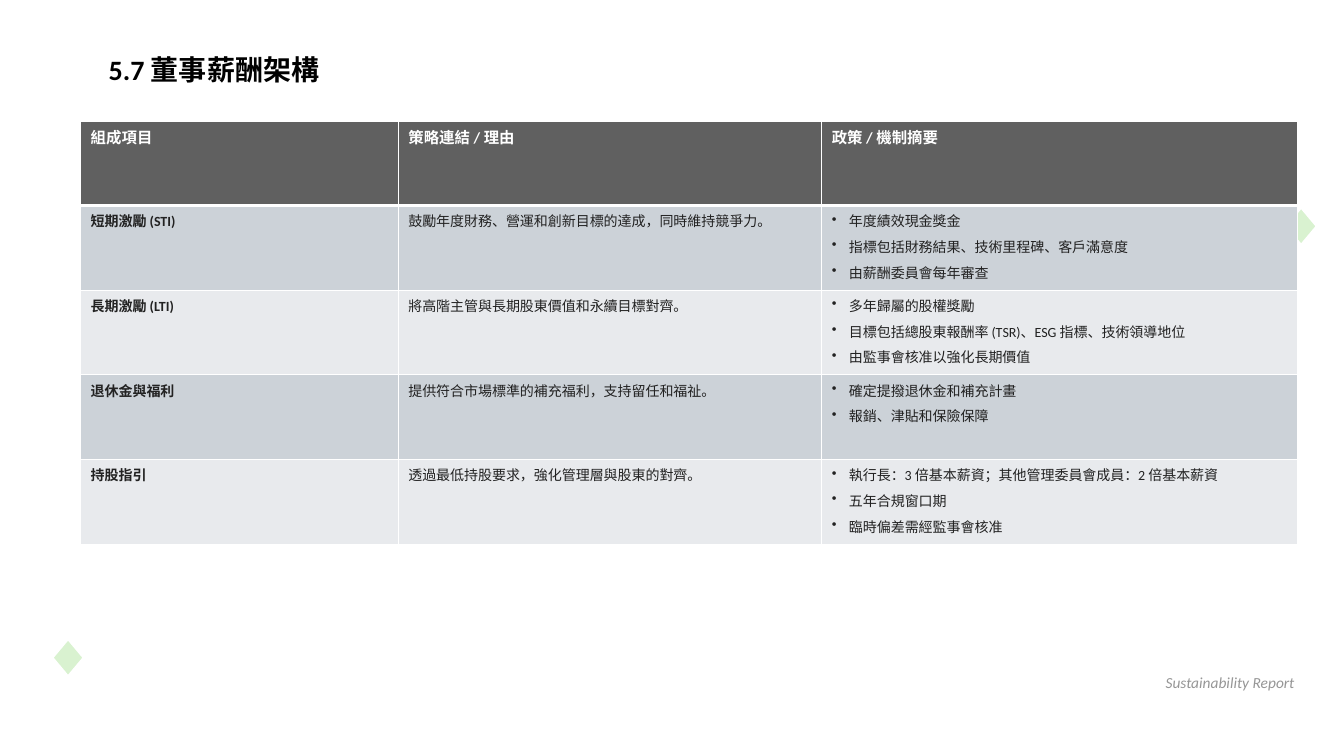
from lxml import etree
from pptx import Presentation
from pptx import util as u
from pptx.dml.color import RGBColor
from pptx.enum import shapes, text
from pptx.oxml.ns import qn

PX = 9144
FONT = "Calibri"
WHITE, GREEN = "FFFFFF", "D9F2D0"
HEADER_FILL, BAND_FILLS = "606060", ("CCD2D8", "E8EAED")
COLUMN_WIDTHS = (315, 420, 472)
ROW_HEIGHT = 84
BULLET_INDENT = 17
HEADERS = ("組成項目", "策略連結 / 理由", "政策 / 機制摘要")
PAY_COMPONENTS = (
    ("短期激勵 (STI)", "鼓勵年度財務、營運和創新目標的達成，同時維持競爭力。",
     ("年度績效現金獎金", "指標包括財務結果、技術里程碑、客戶滿意度", "由薪酬委員會每年審查")),
    ("長期激勵 (LTI)", "將高階主管與長期股東價值和永續目標對齊。",
     ("多年歸屬的股權獎勵", "目標包括總股東報酬率 (TSR)、ESG 指標、技術領導地位",
      "由監事會核准以強化長期價值")),
    ("退休金與福利", "提供符合市場標準的補充福利，支持留任和福祉。",
     ("確定提撥退休金和補充計畫", "報銷、津貼和保險保障")),
    ("持股指引", "透過最低持股要求，強化管理層與股東的對齊。",
     ("執行長：3 倍基本薪資；其他管理委員會成員：2 倍基本薪資", "五年合規窗口期",
      "臨時偏差需經監事會核准")),
)


def px(*lengths):
    return [u.Emu(length * PX) for length in lengths]


def color(value):
    return RGBColor.from_string(value)


def style_runs(paragraph, size, value, bold=False, italic=False):
    for run in paragraph.runs:
        font = run.font
        font.name, font.size = FONT, u.Pt(size)
        font.bold, font.italic = bold, italic
        font.color.rgb = color(value)


def add_bullet(paragraph):
    properties = paragraph._p.get_or_add_pPr()
    properties.set("marL", str(BULLET_INDENT * PX))
    properties.set("indent", str(-BULLET_INDENT * PX))
    etree.SubElement(properties, qn("a:buChar"), char="•")


def add_border(cell, side, width):
    properties = cell._tc.get_or_add_tcPr()
    line = etree.SubElement(properties, qn(f"a:ln{side}"), w=str(u.Pt(width)))
    fill = etree.SubElement(line, qn("a:solidFill"))
    etree.SubElement(fill, qn("a:srgbClr"), val=WHITE)


def add_corner_arc(slide, box):
    shape = slide.shapes.add_shape(shapes.MSO_SHAPE.ARC, *px(*box))
    shape.shadow.inherit = False
    shape.rotation = 151.3
    shape.adjustments[0] = 152.05 * 0.6
    shape.adjustments[1] = 215.37 * 0.6
    shape.fill.background()
    shape.line.width = u.Pt(46.25)
    shape.line.color.rgb = color(GREEN)
    green = shape.line._ln.find(".//" + qn("a:srgbClr"))
    etree.SubElement(green, qn("a:alpha"), val="60000")


def add_diamond(slide, box):
    shape = slide.shapes.add_shape(shapes.MSO_SHAPE.DIAMOND, *px(*box))
    shape.shadow.inherit = False
    shape.fill.solid()
    shape.fill.fore_color.rgb = color(GREEN)
    shape.line.color.rgb = color(WHITE)
    shape.line.width = u.Pt(1.5)


def add_label(slide, box, words, size, value, align=text.PP_ALIGN.LEFT, **style):
    frame = slide.shapes.add_textbox(*px(*box)).text_frame
    frame.word_wrap = True
    frame.text = words
    paragraph = frame.paragraphs[0]
    paragraph.alignment = align
    style_runs(paragraph, size, value, **style)


def fill_cell(cell, words, fill, size, value, bold, header):
    bulleted = not isinstance(words, str)
    cell.text_frame.text = "\n".join(words) if bulleted else words
    for paragraph in cell.text_frame.paragraphs:
        if not header:
            paragraph.space_after = u.Pt(4)
        if bulleted:
            add_bullet(paragraph)
        style_runs(paragraph, size, value, bold)
    for side in "LRTB":
        thick = header and side == "B"
        if header or side != "T":
            add_border(cell, side, 3 if thick else 1)
    cell.fill.solid()
    cell.fill.fore_color.rgb = color(fill)


def add_pay_table(slide, left, top):
    rows = (HEADERS, *PAY_COMPONENTS)
    box = px(left, top, sum(COLUMN_WIDTHS), ROW_HEIGHT * len(rows))
    table = slide.shapes.add_table(len(rows), len(HEADERS), *box).table
    for column, width in zip(table.columns, px(*COLUMN_WIDTHS)):
        column.width = width
    for row_index, row in enumerate(rows):
        header = row_index == 0
        fill = HEADER_FILL if header else BAND_FILLS[(row_index - 1) % 2]
        size, value = (11, WHITE) if header else (10, "222222")
        for column_index, words in enumerate(row):
            bold = header or column_index == 0
            fill_cell(table.cell(row_index, column_index), words, fill, size, value, bold, header)


def main():
    presentation = Presentation()
    presentation.slide_width, presentation.slide_height = px(1333, 750)
    slide = presentation.slides.add_slide(presentation.slide_layouts[6])
    add_corner_arc(slide, (1090, -338, 400, 497))
    for left, top in ((1275, 206), (52, 634)):
        add_diamond(slide, (left, top, 31, 37))
    add_label(slide, (98, 47, 787, 100), "5.7 董事薪酬架構", 20, "000000", bold=True)
    add_pay_table(slide, 80, 120)
    add_label(slide, (1058, 663, 236, 47), "Sustainability Report", 11, "969696",
              text.PP_ALIGN.RIGHT, italic=True)
    presentation.save("out.pptx")


if __name__ == "__main__":
    main()
